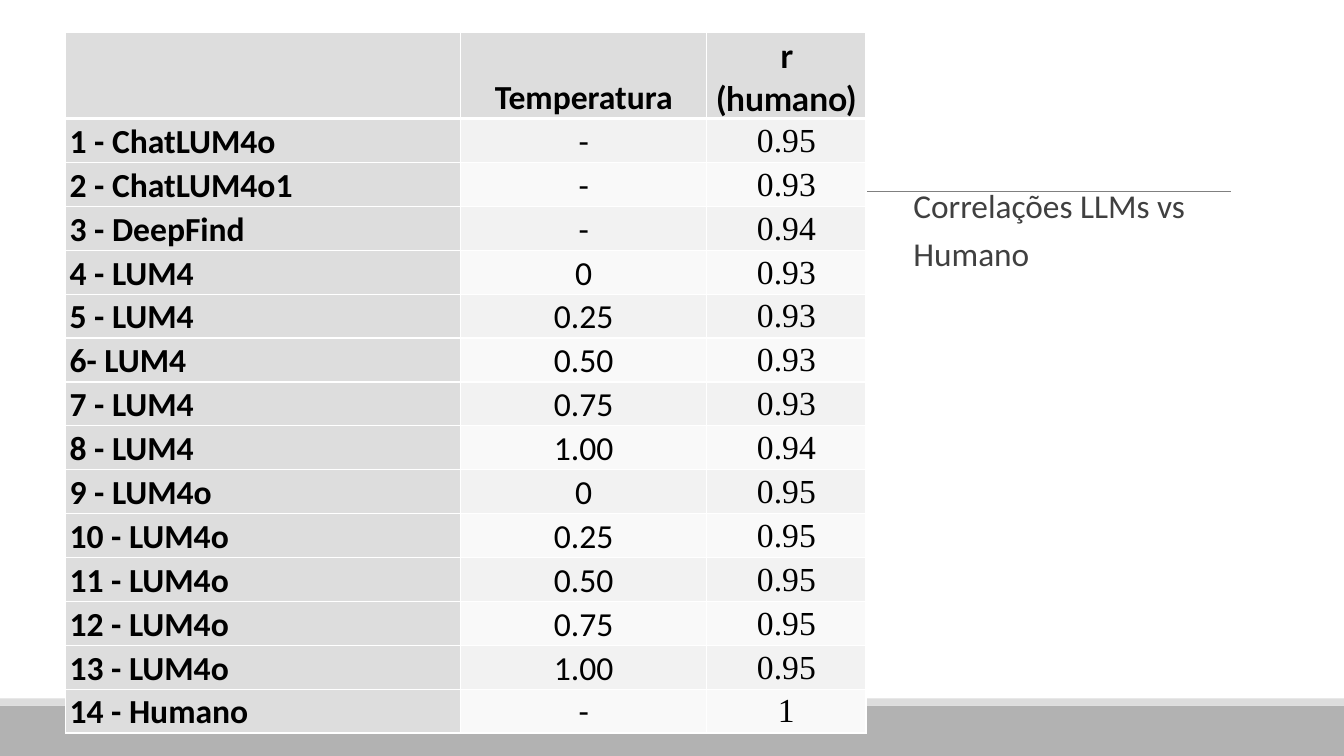
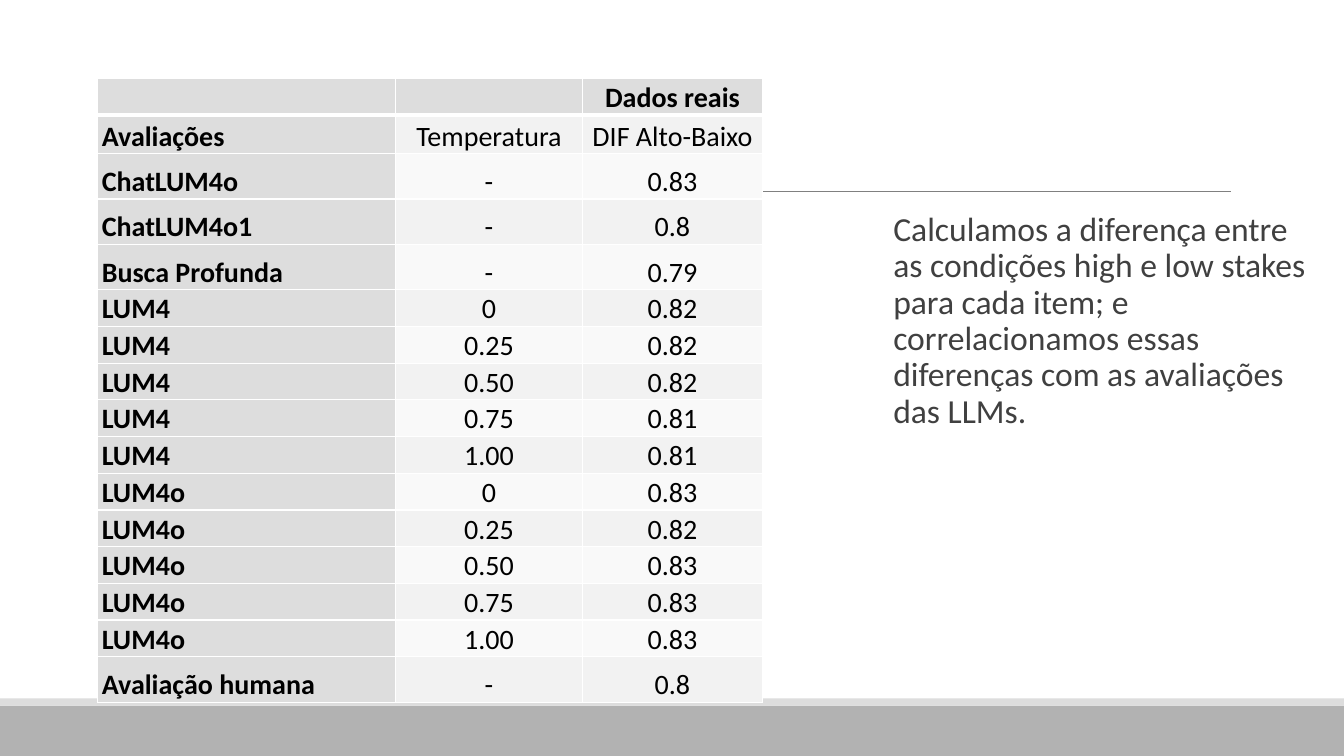
from lxml.etree import SubElement
from pptx import Presentation
from pptx.dml.color import RGBColor
from pptx.enum.shapes import MSO_CONNECTOR, MSO_SHAPE
from pptx.enum.text import MSO_ANCHOR, PP_ALIGN
from pptx.oxml.ns import qn
from pptx.util import Inches, Pt

# Shared look
WIDTH, HEIGHT = 13.33, 7.5
WHITE = RGBColor(0xFF, 0xFF, 0xFF)
BLACK = RGBColor(0x00, 0x00, 0x00)
BODY_GREY = RGBColor(0x40, 0x40, 0x40)
RULE_GREY = RGBColor(0x80, 0x80, 0x80)
BAND_GREY = RGBColor(0xB2, 0xB2, 0xB2)
HEAD_GREY = RGBColor(0xDD, 0xDD, 0xDD)
STRIPES = (RGBColor(0xF9, 0xF9, 0xF9), RGBColor(0xF2, 0xF2, 0xF2))
FONT, HEAD_FONT, NUMBER_FONT = "Calibri", "Lato", "Times New Roman"
BAND_TOP, STRIP_HEIGHT = 7, 0.07
RULE_LEFT, RULE_RIGHT, RULE_TOP = 1.31, 12.21, 1.9

# Numbered label, plain label, temperature, r (human), high-low difference
EVALUATIONS = [
    ("1 - ChatLUM4o", "ChatLUM4o", "-", "0.95", "0.83"),
    ("2 - ChatLUM4o1", "ChatLUM4o1", "-", "0.93", "0.8"),
    ("3 - DeepFind", "Busca Profunda", "-", "0.94", "0.79"),
    ("4 - LUM4", "LUM4", "0", "0.93", "0.82"),
    ("5 - LUM4", "LUM4", "0.25", "0.93", "0.82"),
    ("6- LUM4", "LUM4", "0.50", "0.93", "0.82"),
    ("7 - LUM4", "LUM4", "0.75", "0.93", "0.81"),
    ("8 - LUM4", "LUM4", "1.00", "0.94", "0.81"),
    ("9 - LUM4o", "LUM4o", "0", "0.95", "0.83"),
    ("10 - LUM4o", "LUM4o", "0.25", "0.95", "0.82"),
    ("11 - LUM4o", "LUM4o", "0.50", "0.95", "0.83"),
    ("12 - LUM4o", "LUM4o", "0.75", "0.95", "0.83"),
    ("13 - LUM4o", "LUM4o", "1.00", "0.95", "0.83"),
    ("14 - Humano", "Avaliação humana", "-", "1", "0.8"),
]


def add_band(slide, top, height, color):
    band = slide.shapes.add_shape(MSO_SHAPE.RECTANGLE, 0, Inches(top),
                                  Inches(WIDTH), Inches(height))
    band.shadow.inherit = False
    band.fill.solid()
    band.fill.fore_color.rgb = color
    band.line.fill.background()


def add_base_slide(deck):
    """Blank slide with the bottom bands and the title rule."""
    slide = deck.slides.add_slide(deck.slide_layouts[6])
    add_band(slide, BAND_TOP, HEIGHT - BAND_TOP, BAND_GREY)
    add_band(slide, BAND_TOP - STRIP_HEIGHT, STRIP_HEIGHT, HEAD_GREY)
    rule = slide.shapes.add_connector(
        MSO_CONNECTOR.STRAIGHT, Inches(RULE_LEFT), Inches(RULE_TOP),
        Inches(RULE_RIGHT), Inches(RULE_TOP))
    rule.line.color.rgb = RULE_GREY
    rule.line.width = Pt(0.5)
    SubElement(rule._element.spPr, qn("a:effectLst"))
    return slide


def style_font(font, name, size, color, bold=False):
    font.name, font.size, font.bold = name, Pt(size), bold
    font.color.rgb = color


def add_body(slide, left, top, width, height, lines, size, spacing, before, after):
    body = slide.shapes.add_textbox(Inches(left), Inches(top),
                                    Inches(width), Inches(height))
    frame = body.text_frame
    frame.word_wrap = True
    frame.margin_left = frame.margin_right = 0
    frame.text = "\n".join(lines)
    for index, paragraph in enumerate(frame.paragraphs):
        paragraph.line_spacing = spacing
        paragraph.space_before = Pt(before if index else 0)
        paragraph.space_after = Pt(after)
        style_font(paragraph.font, FONT, size, BODY_GREY)


def add_borders(cell, top, bottom):
    """White cell borders, with widths in points; the sides are always 1."""
    properties = cell._tc.get_or_add_tcPr()
    for side, width in (("L", 1), ("R", 1), ("T", top), ("B", bottom)):
        line = SubElement(properties, qn(f"a:ln{side}"), w=str(Pt(width)))
        fill = SubElement(line, qn("a:solidFill"))
        SubElement(fill, qn("a:srgbClr"), val=str(WHITE))


def fill_cell(cell, text, row, column, size, font):
    is_label = column == 0
    is_head = row == 0
    add_borders(cell, top=3 if row == 1 else 1, bottom=3 if is_head else 1)
    cell.fill.solid()
    cell.fill.fore_color.rgb = HEAD_GREY if is_label or is_head else STRIPES[row % 2]
    is_number = font == NUMBER_FONT
    cell.margin_left = cell.margin_right = Inches(0.01 if is_number else 0.04)
    cell.margin_top = Inches(0.01 if is_number else 0)
    cell.margin_bottom = 0
    cell.vertical_anchor = MSO_ANCHOR.MIDDLE if is_number else MSO_ANCHOR.BOTTOM
    cell.text = text
    paragraph = cell.text_frame.paragraphs[0]
    paragraph.alignment = PP_ALIGN.LEFT if is_label else PP_ALIGN.CENTER
    if not is_number:
        paragraph.line_spacing = 1.07
        paragraph.space_after = Pt(8)
    style_font(paragraph.font, font, size, BLACK, bold=is_label or is_head)


def add_scores(slide, left, top, widths, heights, rows, size,
               head_font=FONT, score_font=FONT):
    """Table of evaluations; the last column may have its own fonts."""
    table = slide.shapes.add_table(
        len(rows), len(widths), Inches(left), Inches(top),
        Inches(sum(widths)), Inches(sum(heights))).table
    table.first_row = table.horz_banding = False
    for column, width in zip(table.columns, widths):
        column.width = Inches(width)
    for table_row, height in zip(table.rows, heights):
        table_row.height = Inches(height)
    last = len(widths) - 1
    for row, texts in enumerate(rows):
        for column, text in enumerate(texts):
            last_font = score_font if row else head_font
            fill_cell(table.cell(row, column), text, row, column, size,
                      last_font if column == last else FONT)


def add_correlation_slide(deck):
    slide = add_base_slide(deck)
    rows = [("", "Temperatura", "r (humano)")]
    rows += [(label, heat, r) for label, _, heat, r, _ in EVALUATIONS]
    heights = [0.85] + [0.43] * len(EVALUATIONS)
    add_scores(slide, 0.65, 0.32, (3.92, 2.44, 1.58), heights, rows, 24,
               head_font=HEAD_FONT, score_font=NUMBER_FONT)
    add_body(slide, 9.06, RULE_TOP, 3.62, 0.91,
             ["Correlações LLMs vs", "Humano"], 23.8, 0.7, 12, 2)


def add_difference_slide(deck):
    slide = add_base_slide(deck)
    rows = [("", "", "Dados reais"),
            ("Avaliações", "Temperatura", "DIF Alto-Baixo")]
    rows += [(label, heat, dif) for _, label, heat, _, dif in EVALUATIONS]
    heights = [0.36, 0.38] + [0.45] * 3 + [0.36] * 10 + [0.45]
    add_scores(slide, 0.97, 0.78, (2.95, 1.86, 1.78), heights, rows, 20)
    add_body(slide, 8.86, 2.06, 4.16, 3.39,
             ["Calculamos a diferença entre as condições high e low stakes "
              "para cada item; e correlacionamos essas diferenças com as "
              "avaliações das LLMs."], 24, 0.9, 2, 4)


def main():
    deck = Presentation()
    deck.slide_width, deck.slide_height = Inches(WIDTH), Inches(HEIGHT)
    add_correlation_slide(deck)
    add_difference_slide(deck)
    deck.save("out.pptx")


if __name__ == "__main__":
    main()
